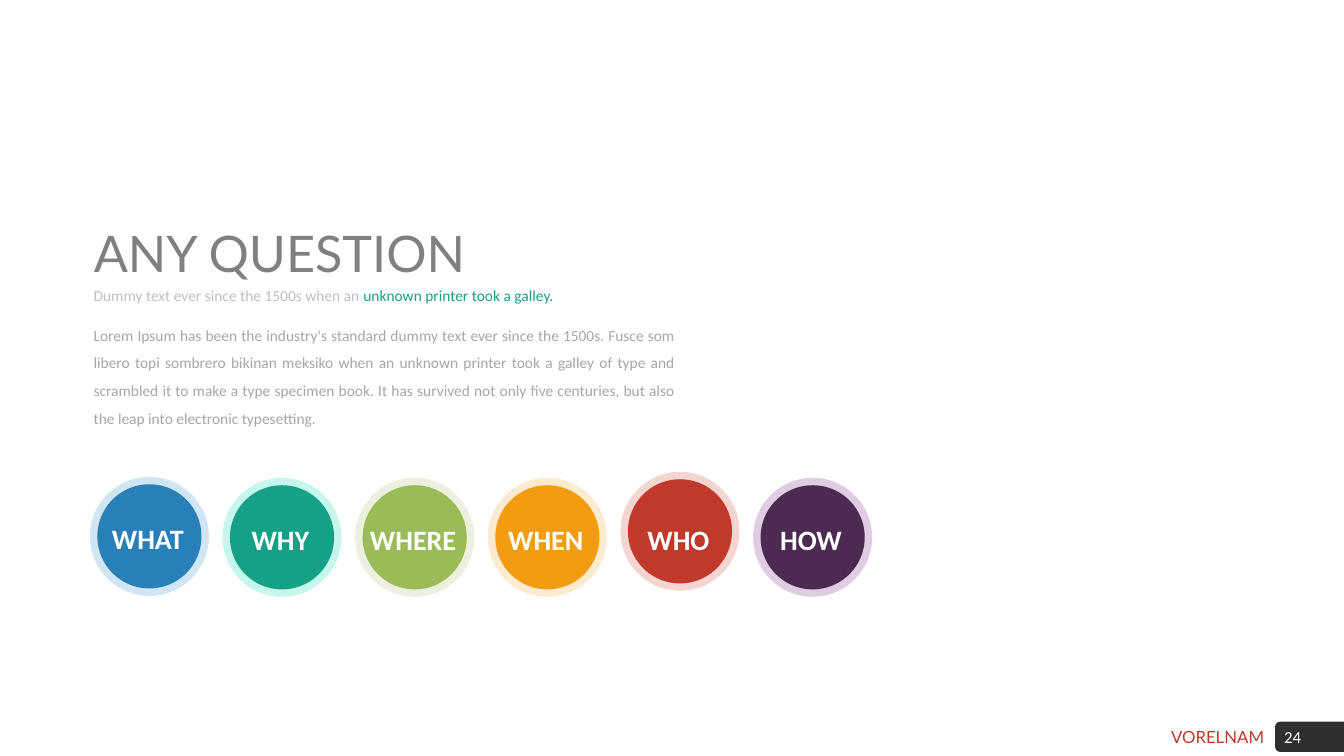
"""Build the closing question slide with six question-word circles."""
from pptx import Presentation
from pptx.dml.color import RGBColor
from pptx.enum.shapes import MSO_SHAPE
from pptx.enum.text import MSO_ANCHOR, MSO_AUTO_SIZE, PP_ALIGN
from pptx.util import Pt

ELLIPSE, ROUNDED = MSO_SHAPE.OVAL, MSO_SHAPE.ROUNDED_RECTANGLE
LEFT, CENTER, RIGHT, JUSTIFY = (
    PP_ALIGN.LEFT, PP_ALIGN.CENTER, PP_ALIGN.RIGHT, PP_ALIGN.JUSTIFY)
TOP, NO_FIT = MSO_ANCHOR.TOP, MSO_AUTO_SIZE.NONE

TITLE = "ANY QUESTION"
SUBTITLE = [
    ("Dummy text ever since the 1500s when an ", "BFBFBF"),
    ("unknown printer took a galley.", "16A085"),
]
BODY = (
    "Lorem Ipsum has been the industry's standard dummy text ever since the 1500s. "
    "Fusce som libero topi sombrero bikinan meksiko when an unknown printer took a "
    "galley of type and scrambled it to make a type specimen book. It has survived "
    "not only five centuries, but also the leap into electronic typesetting."
)
FOOTER = "VORELNAM"
PAGE_NUMBER = "24"
# (word, disc colour, ring colour, ring top, label top)
QUESTIONS = [
    ("WHAT", "2980B9", "D1E6F5", 340.6, 357.1),
    ("WHY", "16A085", "C5F7ED", 341.3, 357.8),
    ("WHERE", "9BBB59", "EBF1DE", 341.3, 357.8),
    ("WHEN", "F39C12", "FDEBD0", 341.3, 357.8),
    ("WHO", "C0392B", "F5D5D2", 337, 357.8),
    ("HOW", "4B2C50", "E0CDE4", 341.3, 357.8),
]

MARGIN = 59.8
FOOTER_TOP = 515.5
RING_LEFT, RING_STEP = 64.2, 94.75
RING_SIZE, DISC_SIZE = 85, 74.4
LABEL_WIDTH, LABEL_HEIGHT, LABEL_SHIFT = 131.8, 39.6, -1.1


def color(value):
    return RGBColor.from_string(value)


def place(shape, left, top, width, height):
    shape.left, shape.top = Pt(left), Pt(top)
    shape.width, shape.height = Pt(width), Pt(height)


def write_text(shape, runs, size, font="Calibri", bold=False, align=LEFT, spacing=1.0):
    frame = shape.text_frame
    frame.word_wrap = True
    frame.auto_size = NO_FIT
    frame.vertical_anchor = TOP
    paragraph = frame.paragraphs[0]
    paragraph.alignment = align
    paragraph.line_spacing = spacing
    for text, fill in runs:
        run = paragraph.add_run()
        run.text = text
        run.font.name = font
        run.font.size = Pt(size)
        run.font.bold = bold
        run.font.color.rgb = color(fill)


def add_text(slide, box, runs, **text_format):
    shape = slide.shapes.add_textbox(*map(Pt, box))
    write_text(shape, runs, **text_format)


def add_filled(slide, kind, box, fill):
    shape = slide.shapes.add_shape(kind, *map(Pt, box))
    shape.shadow.inherit = False
    shape.fill.solid()
    shape.fill.fore_color.rgb = color(fill)
    shape.line.fill.background()


def add_question(slide, index, word, disc_fill, ring_fill, ring_top, label_top):
    ring_left = RING_LEFT + index * RING_STEP
    inset = (RING_SIZE - DISC_SIZE) / 2
    add_filled(slide, ELLIPSE, (ring_left, ring_top, RING_SIZE, RING_SIZE), ring_fill)
    add_filled(slide, ELLIPSE,
               (ring_left + inset, ring_top + inset, DISC_SIZE, DISC_SIZE), disc_fill)
    label_left = ring_left + (RING_SIZE - LABEL_WIDTH) / 2 + LABEL_SHIFT
    add_text(slide, (label_left, label_top, LABEL_WIDTH, LABEL_HEIGHT),
             [(word, "FFFFFF")], size=20, bold=True, align=CENTER, spacing=1.5)


def main():
    presentation = Presentation()
    presentation.slide_width, presentation.slide_height = Pt(960), Pt(540)
    slide = presentation.slides.add_slide(presentation.slide_layouts[5])

    title = slide.shapes.title
    place(title, MARGIN, 154.8, 419.8, 47.5)
    write_text(title, [(TITLE, "808080")], size=36, font="Lato")
    add_text(slide, (MARGIN, 200.9, 419.8, 25.2), SUBTITLE, size=11)
    add_text(slide, (MARGIN, 222.5, 429.8, 87.1), [(BODY, "A6A6A6")],
             size=11, align=JUSTIFY, spacing=1.5)

    for index, question in enumerate(QUESTIONS):
        add_question(slide, index, *question)

    add_filled(slide, ROUNDED, (910.8, FOOTER_TOP, 57.6, 21.6), "2F2F2F")
    add_text(slide, (810.7, FOOTER_TOP, 99.4, 17.3), [(FOOTER, "C0392B")],
             size=12, font="Lato", align=RIGHT)
    add_text(slide, (887, FOOTER_TOP, 72.7, 21.6), [(PAGE_NUMBER, "FFFFFF")],
             size=12, align=CENTER)
    presentation.save("out.pptx")


if __name__ == "__main__":
    main()
